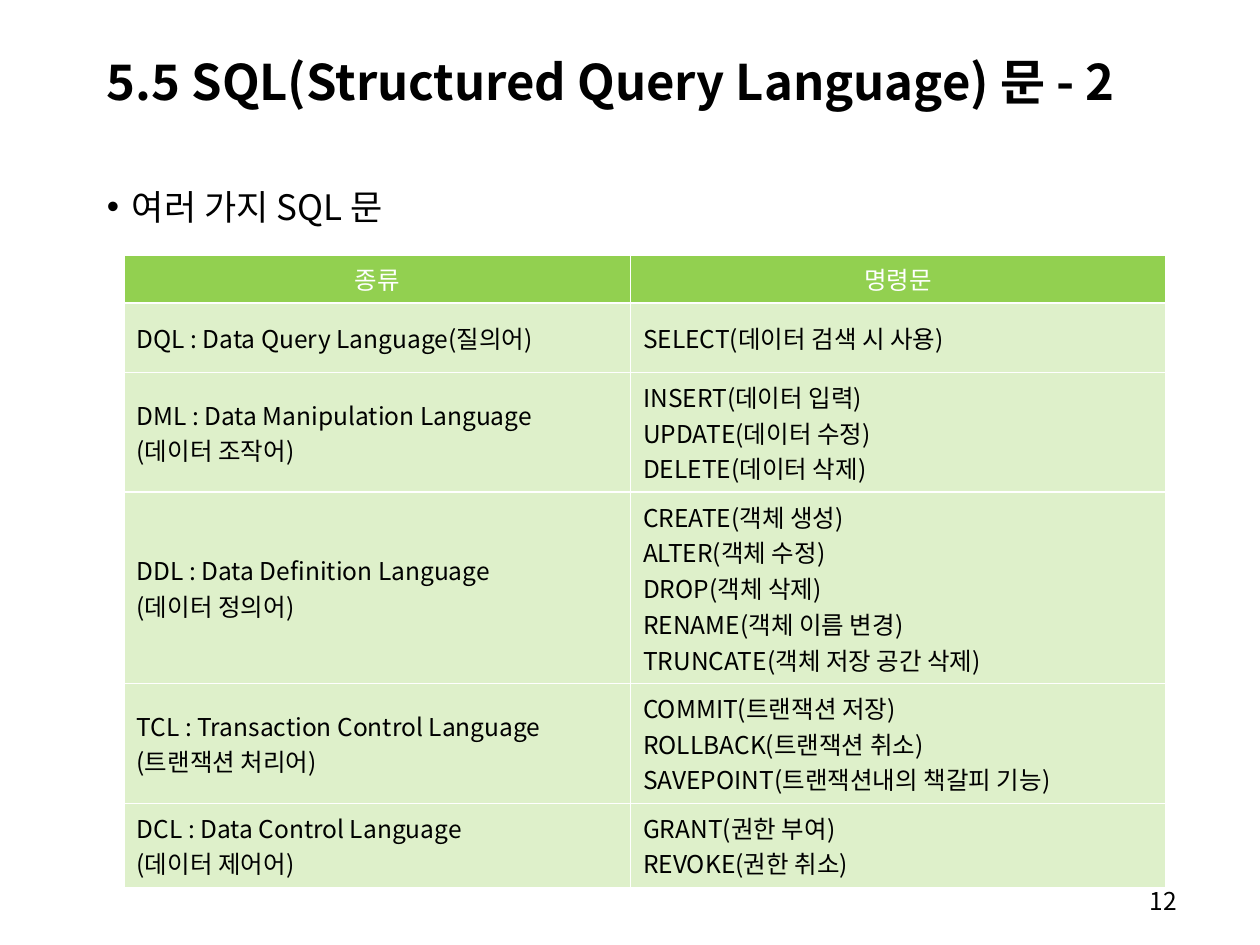
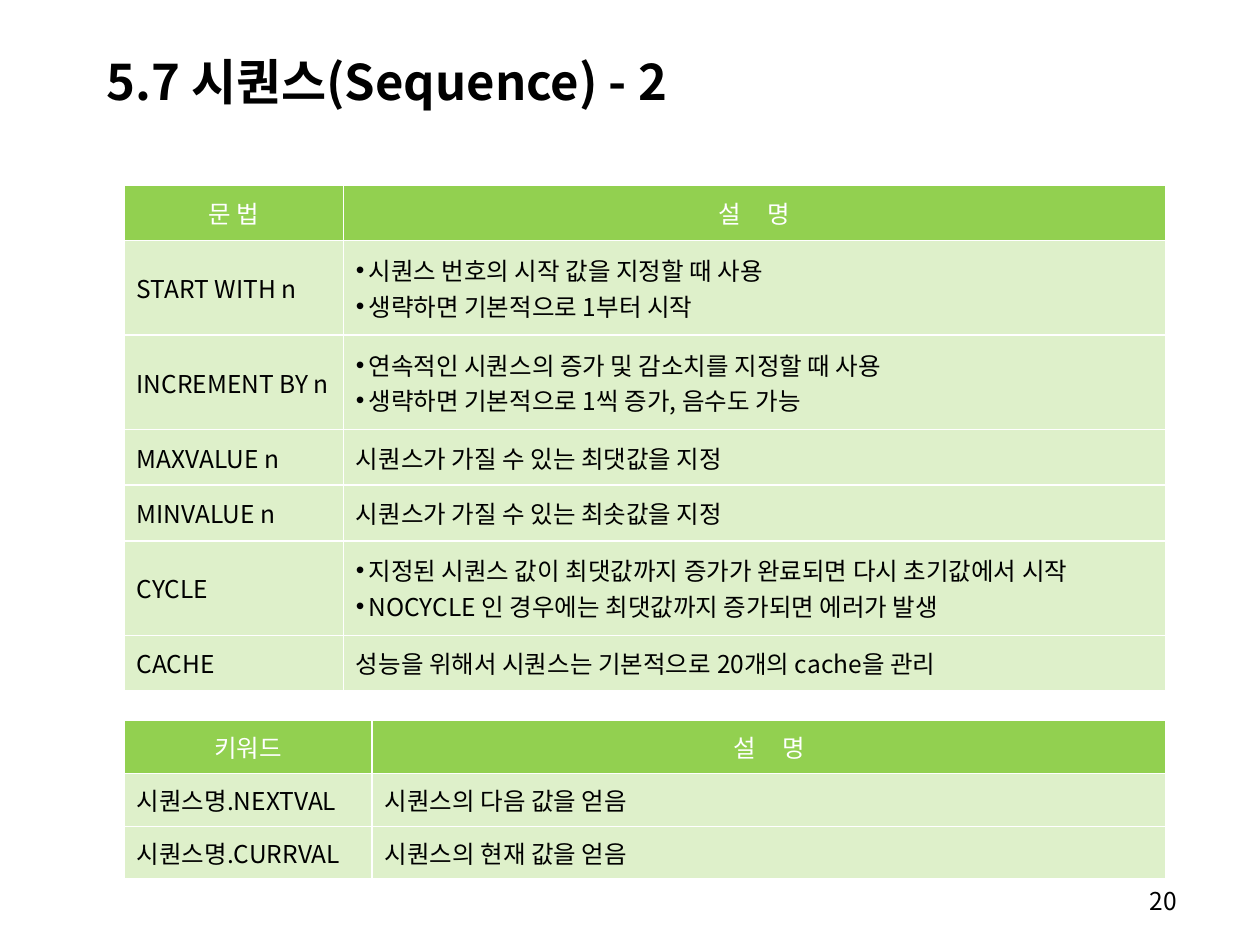
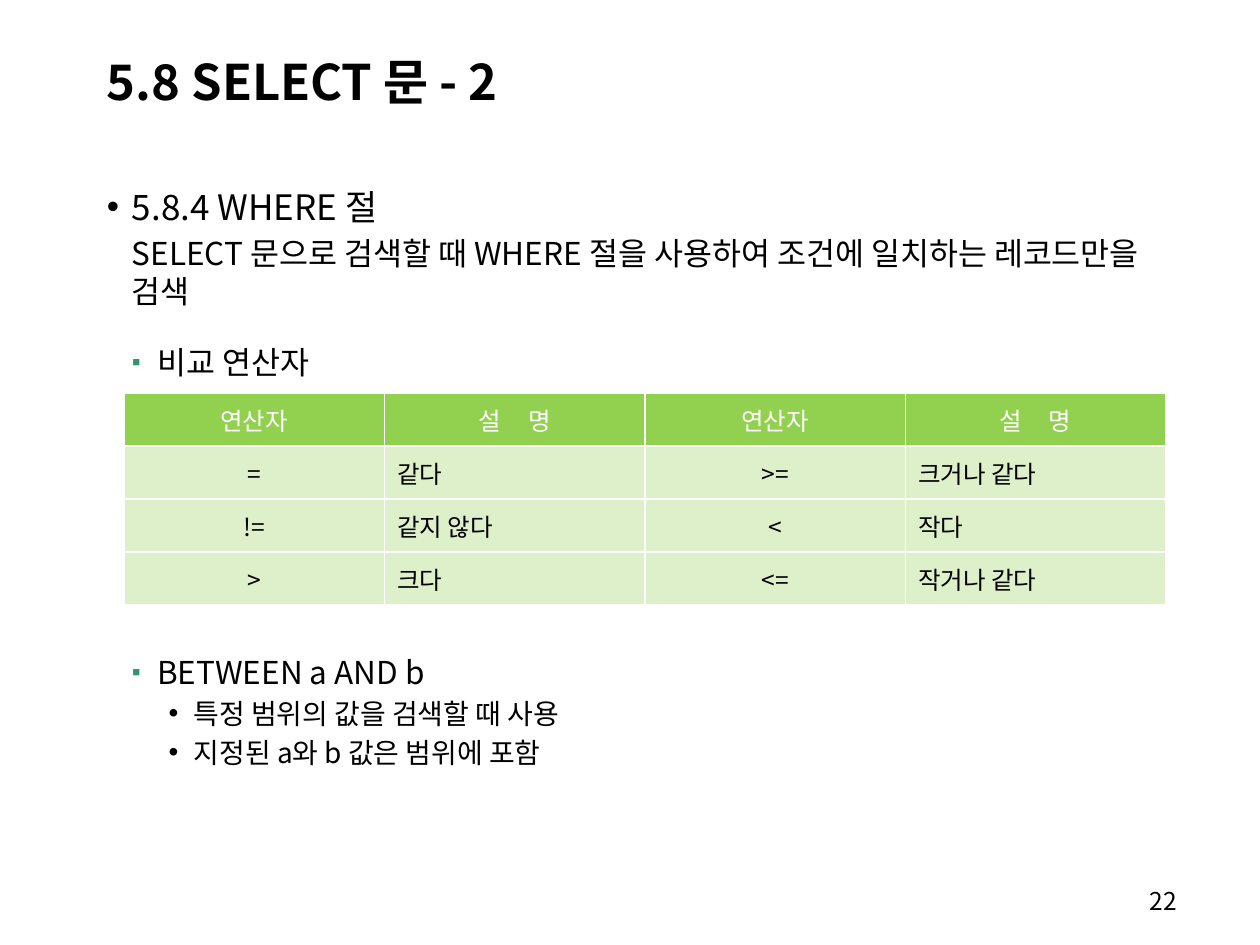
from lxml import etree
from pptx import Presentation
from pptx.dml.color import RGBColor
from pptx.enum.text import MSO_ANCHOR, MSO_AUTO_SIZE, PP_ALIGN
from pptx.oxml.ns import qn
from pptx.util import Pt

LEFT, CENTER, RIGHT = PP_ALIGN.LEFT, PP_ALIGN.CENTER, PP_ALIGN.RIGHT
MIDDLE, TOP = MSO_ANCHOR.MIDDLE, MSO_ANCHOR.TOP
NO_AUTOFIT = MSO_AUTO_SIZE.NONE

FONT, BULLET_FONT = "Noto Sans CJK KR", "Arial"
BLACK, WHITE, GREEN, TEAL = "000000", "FFFFFF", "92D050", "32946A"
TITLE_AND_CONTENT, TITLE_ONLY = 1, 5

TITLE_BOX = (53.8, 9.4, 666, 73.4)
BODY_BOX = (53.8, 102.2, 628.6, 383.8)
NUMBER_BOX = (529.9, 502.6, 149.8, 25.2)
TABLE_LEFT, TABLE_WIDTH = 70.9, 595.4

DESCRIPTION = "설 명"
DESCRIPTION_SPACING = 600
CELL_HANG = 7.2

# Each level: size, left margin, first-line indent, bullet, bullet colour
HEADING = (20, 14.4, -14.4, "•", None)
PLAIN = (18, 14.4, 0, None, None)
SUBHEADING = (18, 28.8, -14.4, "▪", TEAL)
DETAIL = (16, 49.7, -14.4, "•", None)


def color(hex_string):
    return RGBColor.from_string(hex_string)


def add_run(paragraph, text, size, hex_color=BLACK, bold=False):
    run = paragraph.add_run()
    run.text = text
    run.font.size = Pt(size)
    run.font.bold = bold
    run.font.color.rgb = color(hex_color)
    run.font.name = FONT
    properties = run._r.get_or_add_rPr()
    properties.set("kern", "0")
    etree.SubElement(properties, qn("a:ea"), typeface=FONT)
    return run


def set_bullet(paragraph, margin, indent, bullet=None, bullet_color=None):
    """Set the indents and the bullet; without a bullet, switch it off."""
    properties = paragraph._p.get_or_add_pPr()
    properties.set("marL", str(Pt(margin)))
    properties.set("indent", str(Pt(indent)))
    if bullet_color:
        holder = etree.SubElement(properties, qn("a:buClr"))
        etree.SubElement(holder, qn("a:srgbClr"), val=bullet_color)
        etree.SubElement(properties, qn("a:buSzPct"), val="80000")
    if bullet:
        etree.SubElement(properties, qn("a:buFont"), typeface=BULLET_FONT)
        etree.SubElement(properties, qn("a:buChar"), char=bullet)
    else:
        etree.SubElement(properties, qn("a:buNone"))


def place(shape, box):
    shape.left, shape.top, shape.width, shape.height = map(Pt, box)


def prepare_frame(shape, anchor):
    frame = shape.text_frame
    frame.word_wrap = True
    frame.auto_size = NO_AUTOFIT
    frame.vertical_anchor = anchor
    return frame


def add_slide(presentation, layout, title, number):
    """Add a slide with its title and page number."""
    slide = presentation.slides.add_slide(presentation.slide_layouts[layout])
    place(slide.shapes.title, TITLE_BOX)
    paragraph = prepare_frame(slide.shapes.title, MIDDLE).paragraphs[0]
    paragraph.alignment = LEFT
    add_run(paragraph, title, 28, bold=True)

    number_box = slide.shapes.add_textbox(*map(Pt, NUMBER_BOX))
    paragraph = prepare_frame(number_box, TOP).paragraphs[0]
    paragraph.alignment = RIGHT
    add_run(paragraph, str(number), 14)
    return slide


def fill_body(slide, items):
    """Write (text, level, space before) items into the body placeholder."""
    body = slide.placeholders[1]
    place(body, BODY_BOX)
    frame = prepare_frame(body, TOP)
    for index, (text, level, space_before) in enumerate(items):
        paragraph = frame.add_paragraph() if index else frame.paragraphs[0]
        size, *bullet_format = level
        paragraph.alignment = LEFT
        paragraph.line_spacing = 1.0
        paragraph.space_before = Pt(space_before)
        paragraph.space_after = Pt(0)
        set_bullet(paragraph, *bullet_format)
        add_run(paragraph, text, size)


def style_cell(cell, is_header):
    properties = cell._tc.get_or_add_tcPr()
    for side in ("lnL", "lnR", "lnT", "lnB"):
        line = etree.SubElement(properties, qn(f"a:{side}"), w=str(Pt(1)))
        fill = etree.SubElement(line, qn("a:solidFill"))
        etree.SubElement(fill, qn("a:srgbClr"), val=WHITE)
    cell.fill.solid()
    cell.fill.fore_color.rgb = color(GREEN)
    if not is_header:
        green = properties.find(qn("a:solidFill")).find(qn("a:srgbClr"))
        etree.SubElement(green, qn("a:alpha"), val="30000")
    cell.vertical_anchor = MIDDLE


def fill_cell(cell, text, is_header, centered, hanging):
    """Write one paragraph per line; several hanging lines become bullets."""
    lines = text.split("\n")
    for index, line in enumerate(lines):
        frame = cell.text_frame
        paragraph = frame.add_paragraph() if index else frame.paragraphs[0]
        paragraph.alignment = CENTER if is_header or centered else LEFT
        if hanging and not is_header:
            bullet = "•" if len(lines) > 1 else None
            set_bullet(paragraph, CELL_HANG, -CELL_HANG, bullet)
        run = add_run(paragraph, line, 14, WHITE if is_header else BLACK)
        if line == DESCRIPTION:
            run._r.get_or_add_rPr().set("spc", str(DESCRIPTION_SPACING))


def add_grid(slide, top, widths, heights, rows, centered=(), hanging=()):
    """Add a table with a green header; centered and hanging list columns."""
    frame = slide.shapes.add_table(
        len(rows), len(widths), Pt(TABLE_LEFT), Pt(top), Pt(TABLE_WIDTH), Pt(sum(heights)))
    table = frame.table
    table.horz_banding = False
    table.first_row = False
    for column, width in zip(table.columns, widths):
        column.width = Pt(width)
    for row, height in zip(table.rows, heights):
        row.height = Pt(height)
    for row_index, texts in enumerate(rows):
        for column_index, text in enumerate(texts):
            cell = table.cell(row_index, column_index)
            is_header = row_index == 0
            style_cell(cell, is_header)
            fill_cell(cell, text, is_header,
                      column_index in centered, column_index in hanging)


def build_statements_slide(presentation):
    slide = add_slide(presentation, TITLE_AND_CONTENT,
                      "5.5 SQL(Structured Query Language) 문 - 2", 12)
    fill_body(slide, [("여러 가지 SQL 문", HEADING, 0)])
    add_grid(slide, 145.6, (289.4, 306), (26, 39.6, 62.6, 99.4, 62.6, 44.6), [
        ("종류", "명령문"),
        ("DQL : Data Query Language(질의어)", "SELECT(데이터 검색 시 사용)"),
        ("DML : Data Manipulation Language\n(데이터 조작어)",
         "INSERT(데이터 입력)\nUPDATE(데이터 수정)\nDELETE(데이터 삭제)"),
        ("DDL : Data Definition Language\n(데이터 정의어)",
         "CREATE(객체 생성)\nALTER(객체 수정)\nDROP(객체 삭제)\n"
         "RENAME(객체 이름 변경)\nTRUNCATE(객체 저장 공간 삭제)"),
        ("TCL : Transaction Control Language\n(트랜잭션 처리어)",
         "COMMIT(트랜잭션 저장)\nROLLBACK(트랜잭션 취소)\n"
         "SAVEPOINT(트랜잭션내의 책갈피 기능)"),
        ("DCL : Data Control Language\n(데이터 제어어)",
         "GRANT(권한 부여)\nREVOKE(권한 취소)"),
    ])


def build_sequence_slide(presentation):
    slide = add_slide(presentation, TITLE_ONLY, "5.7 시퀀스(Sequence) - 2", 20)
    syntax_rows = [
        ("문 법", DESCRIPTION),
        ("START WITH n",
         "시퀀스 번호의 시작 값을 지정할 때 사용\n생략하면 기본적으로 1부터 시작"),
        ("INCREMENT BY n",
         "연속적인 시퀀스의 증가 및 감소치를 지정할 때 사용\n"
         "생략하면 기본적으로 1씩 증가, 음수도 가능"),
        ("MAXVALUE n", "시퀀스가 가질 수 있는 최댓값을 지정"),
        ("MINVALUE n", "시퀀스가 가질 수 있는 최솟값을 지정"),
        ("CYCLE",
         "지정된 시퀀스 값이 최댓값까지 증가가 완료되면 다시 초기값에서 시작\n"
         "NOCYCLE 인 경우에는 최댓값까지 증가되면 에러가 발생"),
        ("CACHE", "성능을 위해서 시퀀스는 기본적으로 20개의 cache을 관리"),
    ]
    syntax_heights = [54 if "\n" in text else 31.8 for _, text in syntax_rows]
    add_grid(slide, 105.7, (125.3, 470.1), syntax_heights, syntax_rows, hanging=(1,))
    add_grid(slide, 411.8, (141.8, 453.6), [30.2] * 3, [
        ("키워드", DESCRIPTION),
        ("시퀀스명.NEXTVAL", "시퀀스의 다음 값을 얻음"),
        ("시퀀스명.CURRVAL", "시퀀스의 현재 값을 얻음"),
    ], hanging=(1,))


def build_select_slide(presentation):
    slide = add_slide(presentation, TITLE_AND_CONTENT, "5.8 SELECT 문 - 2", 22)
    fill_body(slide, [
        ("5.8.4 WHERE 절", HEADING, 0),
        ("SELECT 문으로 검색할 때 WHERE 절을 사용하여 조건에 일치하는 레코드만을 검색",
         PLAIN, 4),
        ("비교 연산자", SUBHEADING, 19),
        ("BETWEEN a AND b", SUBHEADING, 155.4),
        ("특정 범위의 값을 검색할 때 사용", DETAIL, 3.2),
        ("지정된 a와 b 값은 범위에 포함", DETAIL, 3.2),
    ])
    add_grid(slide, 224.8, [TABLE_WIDTH / 4] * 4, [30.2] * 4, [
        ("연산자", DESCRIPTION) * 2,
        ("=", "같다", ">=", "크거나 같다"),
        ("!=", "같지 않다", "<", "작다"),
        (">", "크다", "<=", "작거나 같다"),
    ], centered=(0, 2), hanging=(1, 3))


def main():
    presentation = Presentation()
    presentation.slide_width, presentation.slide_height = Pt(720), Pt(540)
    build_statements_slide(presentation)
    build_sequence_slide(presentation)
    build_select_slide(presentation)
    presentation.save("out.pptx")


if __name__ == "__main__":
    main()
